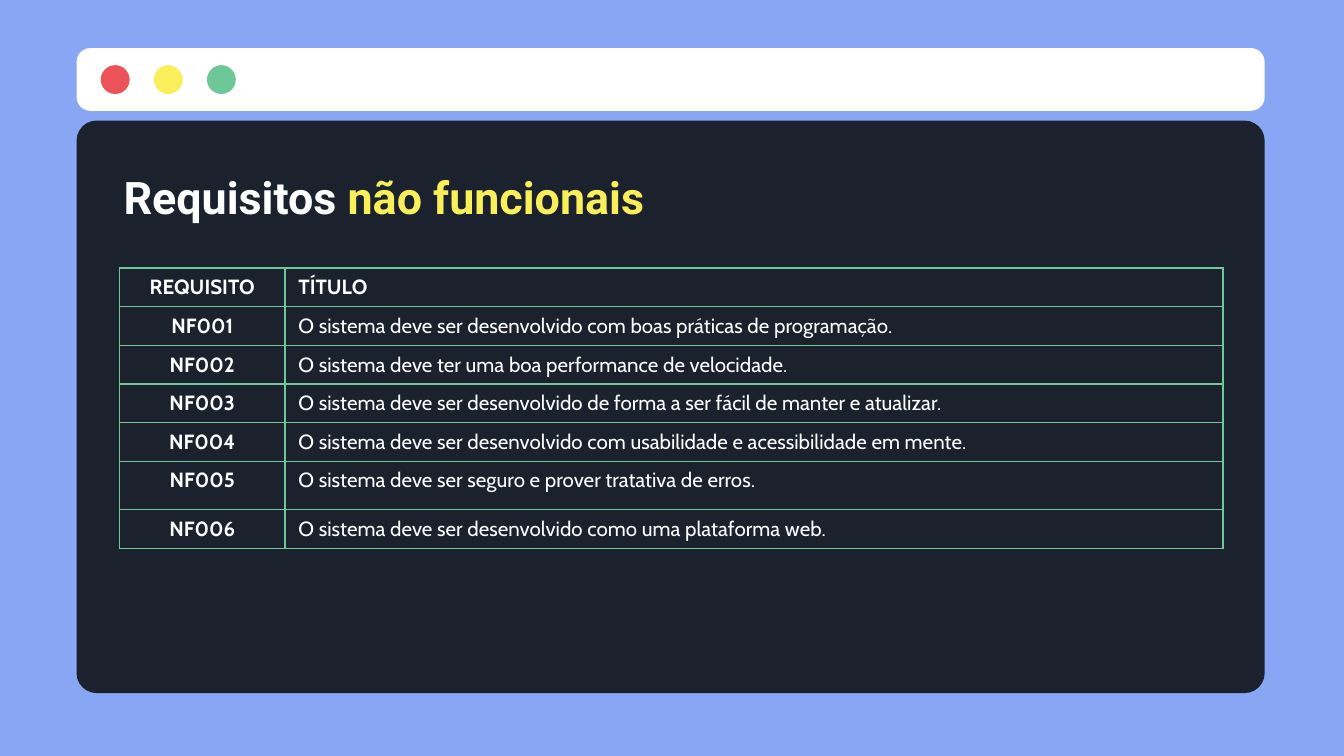
from dataclasses import dataclass

from lxml import etree
from pptx import Presentation
from pptx import util as u
from pptx.dml.color import RGBColor
from pptx.enum import shapes, text
from pptx.oxml import ns


@dataclass(frozen=True)
class Theme:
    backdrop: str = "88A6F3"
    panel: str = "1B222D"
    white: str = "FFFFFF"
    red: str = "EB5358"
    yellow: str = "F8EF5B"
    green: str = "6DC797"
    title_font: str = "Roboto"
    body_font: str = "Cabin"
    title_size: float = 24
    body_size: float = 11
    border: float = 0.75


class SlideBuilder:
    """Places elements on a grid of 40 columns by 22.5 rows."""

    def __init__(self, presentation, theme):
        self.theme = theme
        self.column = presentation.slide_width / 40
        self.row = presentation.slide_height / 22.5
        self.slide = presentation.slides.add_slide(presentation.slide_layouts[6])
        self.paint(self.slide.background.fill, theme.backdrop)

    def box(self, left, top, width, height):
        return (u.Emu(round(left * self.column)), u.Emu(round(top * self.row)),
                u.Emu(round(width * self.column)), u.Emu(round(height * self.row)))

    def paint(self, fill, color):
        fill.solid()
        fill.fore_color.rgb = RGBColor.from_string(color)

    def shape(self, kind, area, color, rounding=None):
        shape = self.slide.shapes.add_shape(kind, *self.box(*area))
        shape.shadow.inherit = False
        shape.line.fill.background()
        self.paint(shape.fill, color)
        if rounding is not None:
            shape.adjustments[0] = rounding

    def run(self, paragraph, words, font, size, color, bold):
        run = paragraph.add_run()
        run.text = words
        run.font.name, run.font.size, run.font.bold = font, u.Pt(size), bold
        run.font.color.rgb = RGBColor.from_string(color)

    def title(self, area, parts):
        frame = self.slide.shapes.add_textbox(*self.box(*area)).text_frame
        frame.word_wrap = True
        frame.vertical_anchor = text.MSO_ANCHOR.MIDDLE
        frame.margin_left = frame.margin_right = 0
        frame.margin_top = frame.margin_bottom = u.Inches(0.1)
        for words, color in parts:
            self.run(frame.paragraphs[0], words, self.theme.title_font,
                     self.theme.title_size, color, True)

    def cell_border(self, cell):
        properties = cell._tc.get_or_add_tcPr()
        for position, side in enumerate(("lnL", "lnR", "lnT", "lnB")):
            line = etree.Element(ns.qn(f"a:{side}"), w=str(u.Pt(self.theme.border)))
            fill = etree.SubElement(line, ns.qn("a:solidFill"))
            etree.SubElement(fill, ns.qn("a:srgbClr"), val=self.theme.green)
            properties.insert(position, line)

    def table(self, left, top, widths, heights, rows):
        area = self.box(left, top, sum(widths), sum(heights))
        table = self.slide.shapes.add_table(len(rows), len(widths), *area).table
        table.first_row = table.horz_banding = False
        for column, width in zip(table.columns, widths):
            column.width = u.Emu(round(width * self.column))
        for row, height in zip(table.rows, heights):
            row.height = u.Emu(round(height * self.row))
        for i, row in enumerate(rows):
            for j, words in enumerate(row):
                cell = table.cell(i, j)
                cell.fill.background()
                cell.margin_left = cell.margin_right = u.Inches(0.1)
                cell.margin_top = cell.margin_bottom = u.Inches(0.05)
                paragraph = cell.text_frame.paragraphs[0]
                if j == 0:
                    paragraph.alignment = text.PP_ALIGN.CENTER
                self.run(paragraph, words, self.theme.body_font, self.theme.body_size,
                         self.theme.white, i == 0 or j == 0)
                self.cell_border(cell)


def main():
    presentation = Presentation()
    presentation.slide_width = u.Inches(10)
    presentation.slide_height = u.Inches(5.625)
    theme = Theme()
    builder = SlideBuilder(presentation, theme)
    rounded = shapes.MSO_SHAPE.ROUNDED_RECTANGLE

    # Window bar with its three buttons
    builder.shape(rounded, (2.28, 1.43, 35.36, 1.87), theme.white, 0.22)
    for i, color in enumerate((theme.red, theme.yellow, theme.green)):
        builder.shape(shapes.MSO_SHAPE.OVAL, (3 + 1.58 * i, 1.94, 0.86, 0.86), color)

    # Window body and title
    builder.shape(rounded, (2.28, 3.59, 35.36, 17.04), theme.panel, 0.035)
    builder.title((3.68, 5, 23.04, 1.72),
                  [("Requisitos ", theme.white), ("não funcionais", theme.yellow)])

    # Requirements table
    requirements = (
        "O sistema deve ser desenvolvido com boas práticas de programação.",
        "O sistema deve ter uma boa performance de velocidade.",
        "O sistema deve ser desenvolvido de forma a ser fácil de manter e atualizar.",
        "O sistema deve ser desenvolvido com usabilidade e acessibilidade em mente.",
        "O sistema deve ser seguro e prover tratativa de erros.",
        "O sistema deve ser desenvolvido como uma plataforma web.",
    )
    rows = [("REQUISITO", "TÍTULO")]
    rows += [(f"NF{number:03}", words) for number, words in enumerate(requirements, 1)]
    heights = [1.44 if code == "NF005" else 1.15 for code, _ in rows]
    builder.table(3.56, 7.98, (4.92, 27.92), heights, rows)

    presentation.save("out.pptx")


if __name__ == "__main__":
    main()
